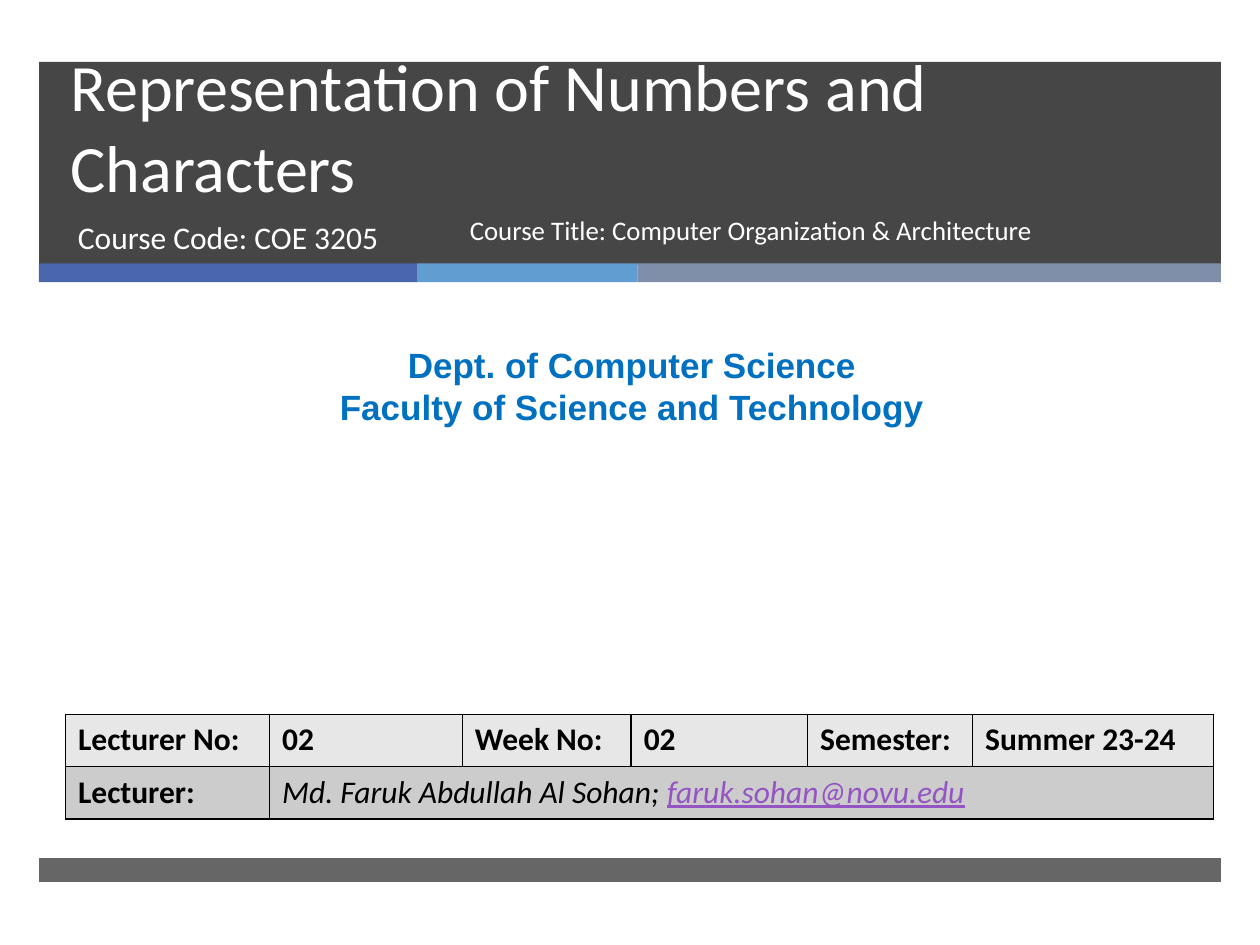
"""Build the opening slide of a lecture on numbers and characters."""
from dataclasses import dataclass
from itertools import accumulate
from typing import NamedTuple

from lxml.etree import SubElement
from pptx import Presentation
from pptx.dml.color import RGBColor
from pptx.enum.shapes import MSO_SHAPE
from pptx.enum.text import MSO_ANCHOR, MSO_AUTO_SIZE, PP_ALIGN
from pptx.oxml import parse_xml
from pptx.oxml.ns import nsdecls, qn
from pptx.util import Inches, Pt

WIDE, HIGH = Inches(10), Inches(7.5)
COLS, ROWS = 100, 75


@dataclass(frozen=True)
class Theme:
    dark: str = "262626"
    bars: tuple = ("4A66AC", "629DD1", "7F8FA9")
    light: str = "FFFFFF"
    blue: str = "0070C0"
    ink: str = "000000"
    link: str = "9454C3"
    fills: tuple = ("E7E7E7", "CCCCCC")
    body: str = "Calibri"
    plain: str = "Arial"
    title: float = 37.8
    dept: float = 20
    text: float = 18
    small: float = 15.3


class Box(NamedTuple):
    left: float
    top: float
    width: float
    height: float

    def place(self) -> tuple:
        col, row = WIDE / COLS, HIGH / ROWS
        return (round(self.left * col), round(self.top * row),
                round(self.width * col), round(self.height * row))


class Font(NamedTuple):
    name: str
    size: float
    color: str
    bold: bool = False
    italic: bool = False
    under: bool = False


class Label(NamedTuple):
    box: Box
    text: str
    font: Font
    align: PP_ALIGN = PP_ALIGN.LEFT
    space: float = 1.0


THEME = Theme()
EDGE, SPAN = 3.1, 93.8
BARS = (30, 17.5, 46.3)
TABLE = Box(5.2, 56.7, 91.2, 8.3)
WIDTHS = (16.2, 15.3, 13.4, 14, 13.1, 19.1)
HEADS = ("Lecturer No:", "02", "Week No:", "02", "Semester:", "Summer 23-24")
TITLE = Label(Box(4.6, 4.9, 85.4, 11.9), "Representation of Numbers and Characters",
              Font(THEME.body, THEME.title, THEME.light), space=Pt(46))
LABELS = (
    Label(Box(5.2, 16.8, 30.5, 5.3), "Course Code: COE 3205",
          Font(THEME.body, THEME.text, THEME.light)),
    Label(Box(0.8, 26.8, 98.7, 7.7),
          "Dept. of Computer Science\nFaculty of Science and Technology",
          Font(THEME.plain, THEME.dept, THEME.blue, bold=True), PP_ALIGN.CENTER),
    Label(Box(36.3, 16.8, 46.9, 5.3),
          "Course Title: Computer Organization & Architecture",
          Font(THEME.body, THEME.small, THEME.light), space=0.9),
)


def style(run, font: Font) -> None:
    """Format one run."""
    face = run.font
    face.name, face.size = font.name, Pt(font.size)
    face.bold, face.italic, face.underline = font.bold, font.italic, font.under
    face.color.rgb = RGBColor.from_string(font.color)


def write(shape, label: Label) -> None:
    """Place a text shape and fill it with a label."""
    shape.left, shape.top, shape.width, shape.height = label.box.place()
    frame = shape.text_frame
    frame.text = label.text
    frame.word_wrap, frame.auto_size = True, MSO_AUTO_SIZE.NONE
    for para in frame.paragraphs:
        para.alignment, para.line_spacing = label.align, label.space
        for run in para.runs:
            style(run, label.font)


def draw_bar(shapes, box: Box, color: str, alpha: int = 100) -> None:
    """Draw a plain bar with an opacity in percent."""
    bar = shapes.add_shape(MSO_SHAPE.RECTANGLE, *box.place())
    bar.shadow.inherit = False
    bar.fill.solid()
    bar.fill.fore_color.rgb = RGBColor.from_string(color)
    bar.line.fill.background()
    if alpha < 100:
        tone = bar.fill._xPr.find(qn("a:solidFill"))[0]
        SubElement(tone, qn("a:alpha"), val=str(alpha * 1000))


def frame_cell(cell, color: str) -> None:
    """Fill a cell and rule its four sides."""
    cell.fill.solid()
    cell.fill.fore_color.rgb = RGBColor.from_string(color)
    props = cell._tc.get_or_add_tcPr()
    for spot, side in enumerate("LRTB"):
        props.insert(spot, parse_xml(
            f'<a:ln{side} {nsdecls("a")} w="{Pt(1)}"><a:solidFill>'
            f'<a:srgbClr val="{THEME.ink}"/></a:solidFill></a:ln{side}>'))


def draw_table(shapes) -> None:
    """Draw the table of lecture details."""
    table = shapes.add_table(2, len(WIDTHS), *TABLE.place()).table
    for col, width in zip(table.columns, WIDTHS):
        col.width = round(width * WIDE / COLS)
    for row, color in zip(table.rows, THEME.fills):
        for cell in row.cells:
            frame_cell(cell, color)
    table.cell(1, 1).merge(table.cell(1, len(WIDTHS) - 1))
    bold = Font(THEME.body, THEME.text, THEME.ink, bold=True)
    slant = bold._replace(bold=False, italic=True)
    mail = slant._replace(color=THEME.link, under=True)
    spots = [(0, col, [(text, bold)]) for col, text in enumerate(HEADS)]
    spots += [(1, 0, [("Lecturer:", bold)]),
              (1, 1, [("Md. Faruk Abdullah Al Sohan; ", slant),
                      ("faruk.sohan@novu.edu", mail)])]
    for row, col, parts in spots:
        para = table.cell(row, col).text_frame.paragraphs[0]
        for text, font in parts:
            run = para.add_run()
            run.text = text
            style(run, font)


def main() -> None:
    """Build and save the slide."""
    deck = Presentation()
    deck.slide_width, deck.slide_height = WIDE, HIGH
    slide = deck.slides.add_slide(deck.slide_layouts[5])
    shapes = slide.shapes
    draw_bar(shapes, Box(EDGE, 4.9, SPAN, 16.1), THEME.dark, 85)
    group = shapes.add_group_shape()
    starts = accumulate(BARS, initial=EDGE)
    for left, width, color in zip(starts, BARS, THEME.bars):
        draw_bar(group.shapes, Box(left, 20.9, width, 1.5), color)
    draw_bar(shapes, Box(EDGE, 68.1, SPAN, 1.9), THEME.dark, 70)
    title = shapes.title
    shapes._spTree.append(title._element)
    write(title, TITLE)
    title.text_frame.vertical_anchor = MSO_ANCHOR.BOTTOM
    for label in LABELS:
        write(shapes.add_textbox(*label.box.place()), label)
    draw_table(shapes)
    deck.save("out.pptx")


if __name__ == "__main__":
    main()
